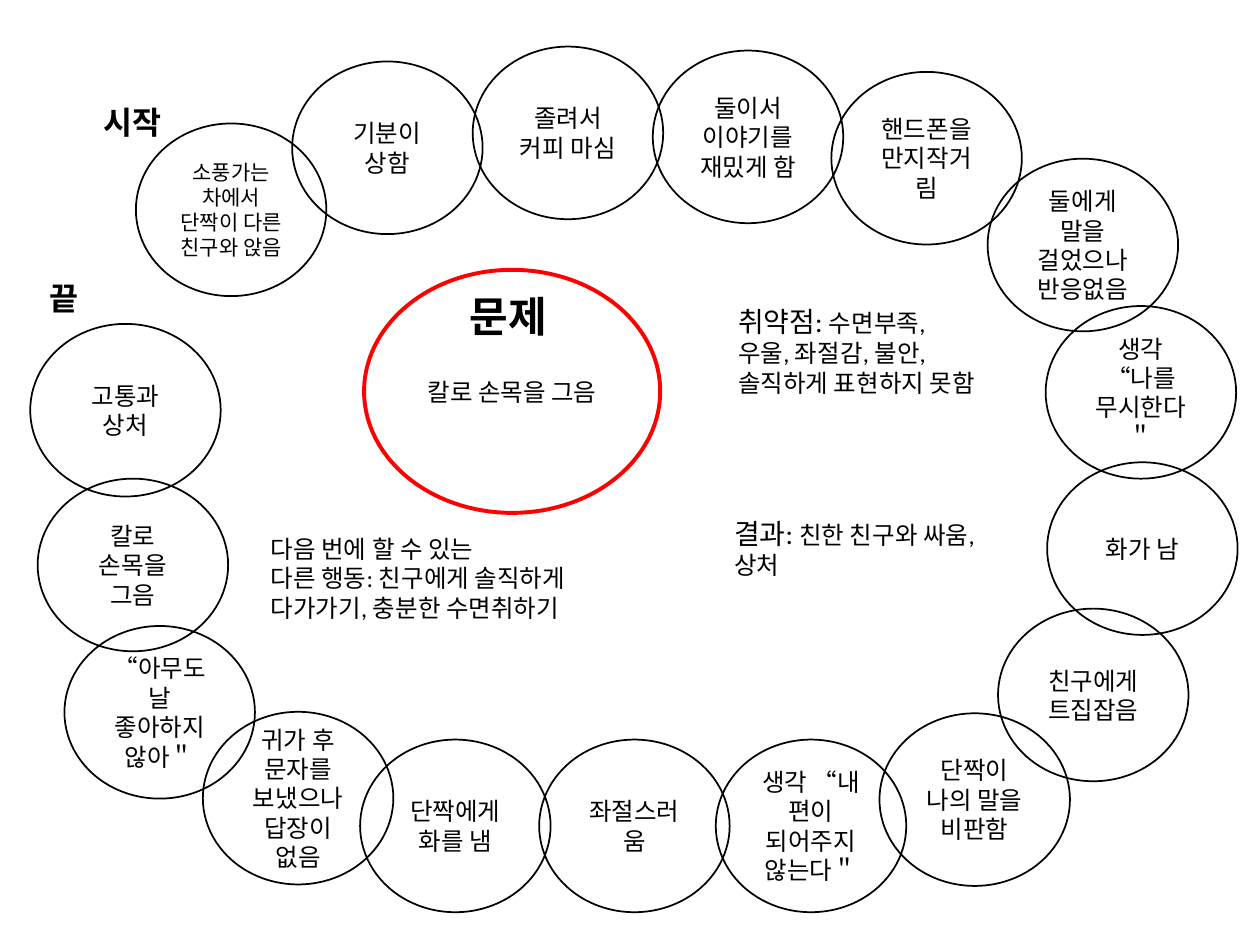
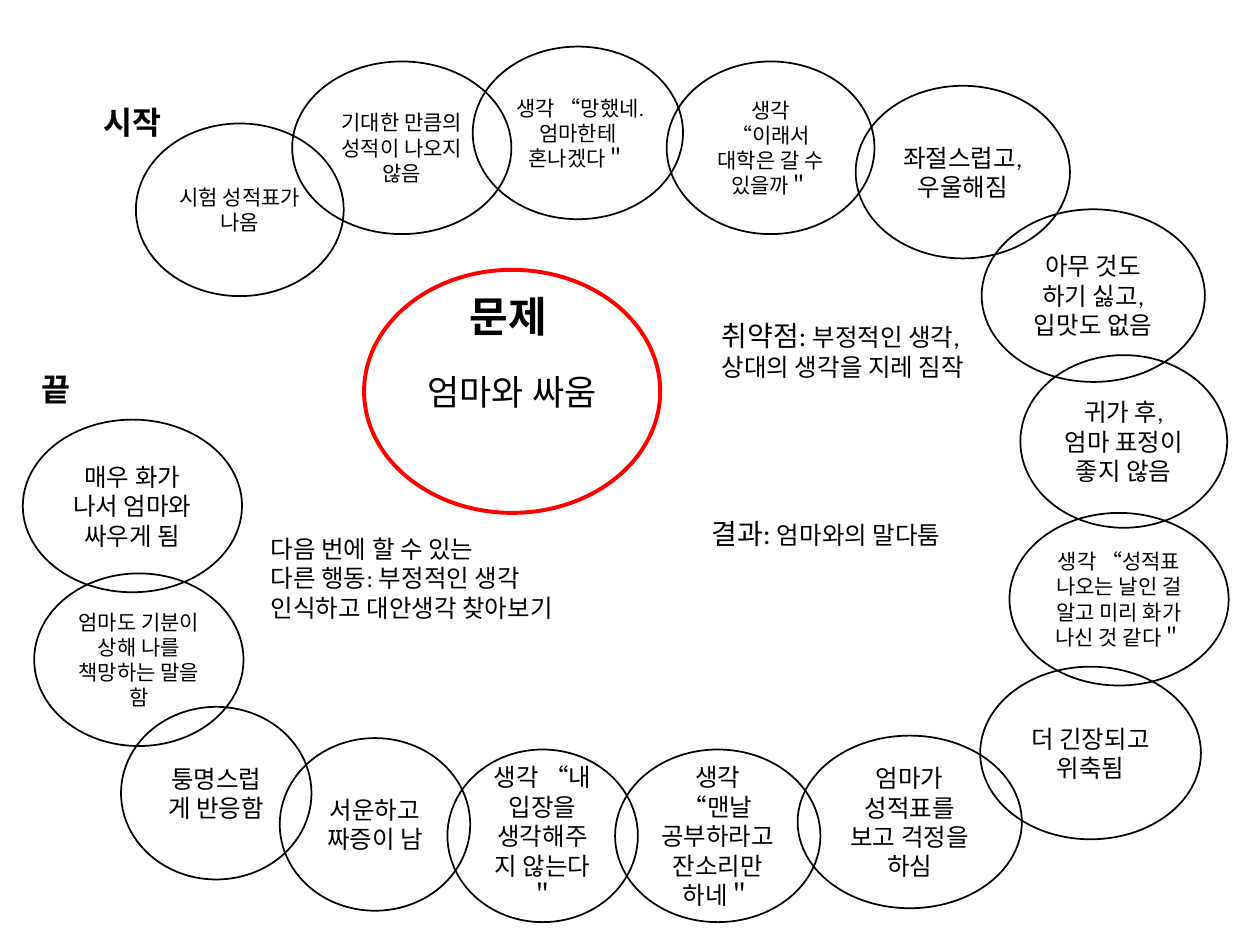
from pptx import Presentation
from pptx.dml.color import RGBColor
from pptx.enum.shapes import MSO_SHAPE
from pptx.enum.text import MSO_ANCHOR, MSO_AUTO_SIZE, PP_ALIGN
from pptx.util import Cm, Pt

OVAL = MSO_SHAPE.OVAL
MIDDLE = MSO_ANCHOR.MIDDLE
GROW = MSO_AUTO_SIZE.SHAPE_TO_FIT_TEXT
CENTER = PP_ALIGN.CENTER
LEFT = PP_ALIGN.LEFT

COLORS = {"ink": "000000", "alert": "FF0000"}
FONT = "Calibri"
BODY, SMALL, LEAD, LABEL, TITLE = 14, 12, 16, 18, 24
WIDE, HIGH = 3.84, 3.48
CORE = (7.34, 5.44, 5.97, 4.9)
START = (1.83, 1.96)

CHAINS = [
    {
        "core": ("칼로 손목을 그음", BODY),
        "end": (0.74, 5.51),
        "links": [
            (2.74, 2.49, WIDE, SMALL, "소풍가는 차에서 단짝이 다른 친구와 앉음"),
            (5.89, 1.24, WIDE, BODY, "기분이 상함"),
            (9.53, 0.94, WIDE, BODY, "졸려서 커피 마심"),
            (13.16, 1.02, WIDE, BODY, "둘이서 이야기를 재밌게 함"),
            (16.76, 1.45, WIDE, BODY, "핸드폰을 만지작거림"),
            (19.91, 3.2, WIDE, BODY, "둘에게 말을 걸었으나 반응없음"),
            (21.08, 6.17, WIDE, BODY, "생각 “나를 무시한다＂"),
            (21.11, 9.32, WIDE, BODY, "화가 남"),
            (20.12, 12.27, WIDE, BODY, "친구에게 트집잡음"),
            (17.73, 14.38, WIDE, BODY, "단짝이 나의 말을 비판함"),
            (14.43, 14.91, WIDE, BODY, "생각 “내 편이 되어주지 않는다＂"),
            (10.87, 14.91, WIDE, BODY, "좌절스러움"),
            (7.26, 14.91, WIDE, BODY, "단짝에게 화를 냄"),
            (4.09, 14.35, WIDE, BODY, "귀가 후 문자를 보냈으나 답장이 없음"),
            (1.3, 12.62, WIDE, BODY, "“아무도 날 좋아하지 않아＂"),
            (0.76, 9.65, WIDE, BODY, "칼로 손목을 그음"),
            (0.61, 6.53, WIDE, BODY, "고통과 상처"),
        ],
        "notes": [
            ((14.63, 6.02, 5.94, 2.13), "취약점: ",
             ["수면부족,", "우울, 좌절감, 불안,", "솔직하게 표현하지 못함"]),
            ((14.55, 10.29, 5.36, 1.55), "결과: ", ["친한 친구와 싸움, 상처"]),
            ((5.21, 10.64, 7.21, 2.06), "",
             ["다음 번에 할 수 있는",
              "다른 행동: 친구에게 솔직하게 다가가기, 충분한 수면취하기"]),
        ],
    },
    {
        "core": ("엄마와 싸움", 20),
        "end": (0.58, 7.34),
        "links": [
            (2.74, 2.49, 4.19, SMALL, "시험 성적표가 나옴"),
            (5.89, 1.24, 4.42, SMALL, "기대한 만큼의 성적이 나오지 않음"),
            (9.53, 0.94, 4.24, SMALL, "생각 “망했네.", "엄마한테 혼나겠다＂"),
            (13.44, 1.24, 4.19, SMALL, "생각 “이래서 대학은 갈 수 있을까＂"),
            (17.25, 1.73, 4.32, BODY, "좌절스럽고, 우울해짐"),
            (19.79, 4.22, 4.5, BODY, "아무 것도 하기 싫고, 입맛도 없음"),
            (20.57, 7.16, 4.17, BODY, "귀가 후, 엄마 표정이 좋지 않음"),
            (20.35, 10.34, 4.42, SMALL,
             "생각 “성적표 나오는 날인 걸 알고 미리 화가 나신 것 같다＂"),
            (19.76, 13.44, 4.45, BODY, "더 긴장되고 위축됨"),
            (16.08, 14.83, 4.52, BODY, "엄마가 성적표를 보고 걱정을 하심"),
            (12.4, 15.11, 4.14, BODY, "생각 “맨날 공부하라고 잔소리만 하네＂"),
            (9.02, 15.11, WIDE, BODY, "생각 “내 입장을 생각해주지 않는다＂"),
            (5.64, 14.88, WIDE, BODY, "서운하고 짜증이 남"),
            (2.44, 14.25, WIDE, BODY, "퉁명스럽게 반응함"),
            (0.69, 11.56, 4.22, SMALL, "엄마도 기분이 상해 나를 책망하는 말을 함"),
            (0.46, 8.46, 4.42, BODY, "매우 화가 나서 엄마와 싸우게 됨"),
        ],
        "notes": [
            ((14.3, 6.3, 5.94, 1.55), "취약점: ",
             ["부정적인 생각,", "상대의 생각을 지레 짐작"]),
            ((14.1, 10.29, 5.82, 0.94), "결과: ", ["엄마와의 말다툼"]),
            ((5.21, 10.64, 7.21, 2.06), "",
             ["다음 번에 할 수 있는",
              "다른 행동: 부정적인 생각 인식하고 대안생각 찾아보기"]),
        ],
    },
]


def color(name):
    """Return a palette colour."""
    return RGBColor.from_string(COLORS[name])


def write(frame, paras, align, bold=False):
    """Fill a text frame with paragraphs of (text, size) runs."""
    frame.word_wrap = True
    for i, runs in enumerate(paras):
        para = frame.paragraphs[0] if i == 0 else frame.add_paragraph()
        para.alignment = align
        for text, size in runs:
            run = para.add_run()
            run.text = text
            run.font.name = FONT
            run.font.size = Pt(size)
            run.font.bold = bold
            run.font.color.rgb = color("ink")


def ring(slide, box, lines, size, tint="ink", width=1):
    """Draw an open oval with centred text."""
    oval = slide.shapes.add_shape(OVAL, *map(Cm, box))
    oval.shadow.inherit = False
    oval.fill.background()
    oval.line.color.rgb = color(tint)
    oval.line.width = Pt(width)
    oval.text_frame.vertical_anchor = MIDDLE
    write(oval.text_frame, [[(line, size)] for line in lines], CENTER)


def block(slide, box, paras, bold=False):
    """Place a text box that grows with its text."""
    frame = slide.shapes.add_textbox(*map(Cm, box)).text_frame
    write(frame, paras, LEFT, bold)
    frame.auto_size = GROW


def label(slide, spot, text):
    """Mark one end of the chain."""
    block(slide, (*spot, 1.85, 1.02), [[(text, LABEL)]], True)


def core(slide, box, text, size):
    """Draw the central problem with its heading."""
    left, top = box[:2]
    ring(slide, box, [text], size, "alert", 2.25)
    block(slide, (left + 1.88, top + 0.3, 2.64, 1.27), [[("문제", TITLE)]], True)


def note(slide, box, head, lines):
    """Write a remark whose first line may open with a larger lead."""
    paras = [[(line, BODY)] for line in lines]
    if head:
        paras[0].insert(0, (head, LEAD))
    block(slide, box, paras)


def chain(deck, data):
    """Build one slide showing a chain of events around a problem."""
    slide = deck.slides.add_slide(deck.slide_layouts.get_by_name("Blank"))
    core(slide, CORE, *data["core"])
    label(slide, START, "시작")
    for left, top, width, size, *lines in data["links"]:
        ring(slide, (left, top, width, HIGH), lines, size)
    label(slide, data["end"], "끝")
    for item in data["notes"]:
        note(slide, *item)


def main():
    """Build and save the deck."""
    deck = Presentation()
    deck.slide_width, deck.slide_height = Cm(25.4), Cm(19.05)
    for data in CHAINS:
        chain(deck, data)
    deck.save("out.pptx")


if __name__ == "__main__":
    main()
